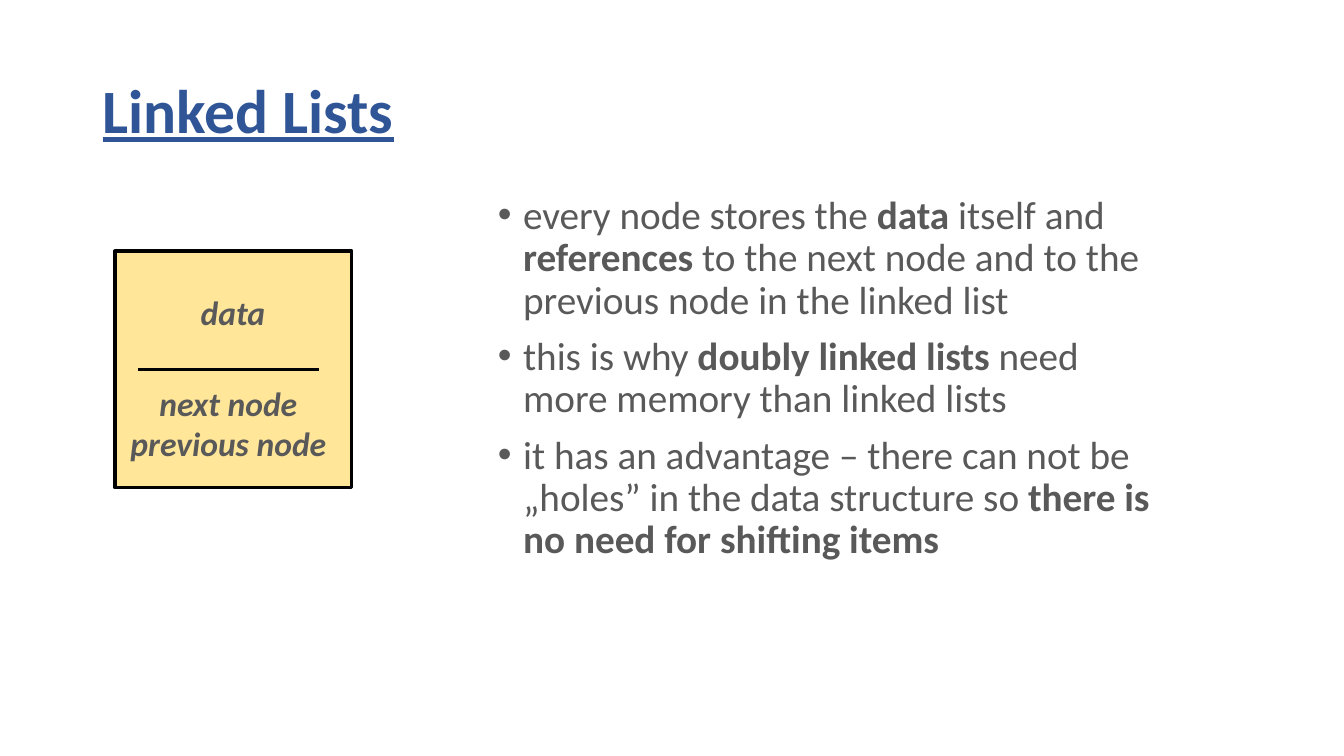
from dataclasses import dataclass

from lxml import etree
from pptx import Presentation
from pptx import util as u
from pptx.dml.color import RGBColor
from pptx.enum import shapes, text
from pptx.oxml import ns

TITLE = "Linked Lists"
# Each bullet is a list of (words, bold) spans.
BULLETS = [
    [("every node stores the ", False), ("data", True), (" itself and ", False),
     ("references", True),
     (" to the next node and to the previous node in the linked list", False)],
    [("this is why ", False), ("doubly linked lists", True),
     (" need more memory than linked lists", False)],
    [("it has an advantage – there can not be „holes” in the data structure so ", False),
     ("there is no need for shifting items", True)],
]
# Node labels: lines, then left, top, width, height in inches.
NODE_LABELS = [
    (["data"], (1.52, 2.85, 1.58, 0.5)),
    (["next node", "previous node"], (1.09, 3.75, 2.35, 0.91)),
]
TITLE_AREA = (0.92, 0.4, 11.5, 1.45)
BULLET_AREA = (4.84, 1.89, 6.76, 4.76)
NODE_AREA = (1.14, 2.49, 2.35, 2.35)
DIVIDER = (1.37, 3.67, 3.16, 3.67)


@dataclass(frozen=True)
class Theme:
    font: str = "Calibri"
    heading: RGBColor = RGBColor(0x2F, 0x55, 0x97)
    body: RGBColor = RGBColor(0x59, 0x59, 0x59)
    node: RGBColor = RGBColor(0xFF, 0xE6, 0x99)
    outline: RGBColor = RGBColor(0, 0, 0)
    title_size: float = 44
    body_size: float = 28
    label_size: float = 24
    line_width: float = 2.25


THEME = Theme()


def inches(values):
    return [u.Inches(value) for value in values]


def add_text(page, area, paragraphs, size, color, italic=False):
    """Add a wrapped text box; each paragraph is a list of (words, bold) spans."""
    frame = page.shapes.add_textbox(*inches(area)).text_frame
    frame.word_wrap = True
    for index, spans in enumerate(paragraphs):
        para = frame.add_paragraph() if index else frame.paragraphs[0]
        for words, bold in spans:
            span = para.add_run()
            span.text = words
            span.font.name = THEME.font
            span.font.size = u.Pt(size)
            span.font.color.rgb = color
            span.font.bold = bold
            span.font.italic = italic
    return frame


def add_bullet(para):
    props = para._p.get_or_add_pPr()
    props.set("marL", str(u.Inches(0.25)))
    props.set("indent", str(u.Inches(-0.25)))
    etree.SubElement(props, ns.qn("a:buFont")).set("typeface", "Arial")
    etree.SubElement(props, ns.qn("a:buChar")).set("char", "•")


def outline(line):
    line.color.rgb = THEME.outline
    line.width = u.Pt(THEME.line_width)


def add_node(page):
    box = page.shapes.add_shape(shapes.MSO_SHAPE.RECTANGLE, *inches(NODE_AREA))
    box.shadow.inherit = False
    box.fill.solid()
    box.fill.fore_color.rgb = THEME.node
    outline(box.line)

    divider = page.shapes.add_connector(shapes.MSO_CONNECTOR.STRAIGHT, *inches(DIVIDER))
    outline(divider.line)
    etree.SubElement(divider._element.spPr, ns.qn("a:effectLst"))

    for lines, area in NODE_LABELS:
        frame = add_text(page, area, [[(line, True)] for line in lines],
                         THEME.label_size, THEME.body, italic=True)
        for para in frame.paragraphs:
            para.alignment = text.PP_ALIGN.CENTER


def main():
    deck = Presentation()
    deck.slide_width, deck.slide_height = inches((13.33, 7.5))
    page = deck.slides.add_slide(deck.slide_layouts[6])

    title = add_text(page, TITLE_AREA, [[(TITLE, True)]], THEME.title_size, THEME.heading)
    title.vertical_anchor = text.MSO_ANCHOR.MIDDLE
    title.paragraphs[0].line_spacing = 0.9
    title.paragraphs[0].runs[0].font.underline = True

    bullets = add_text(page, BULLET_AREA, BULLETS, THEME.body_size, THEME.body)
    for para in bullets.paragraphs:
        para.line_spacing = 0.9
        para.space_before = u.Pt(10)
        add_bullet(para)

    add_node(page)
    deck.save("out.pptx")


if __name__ == "__main__":
    main()
